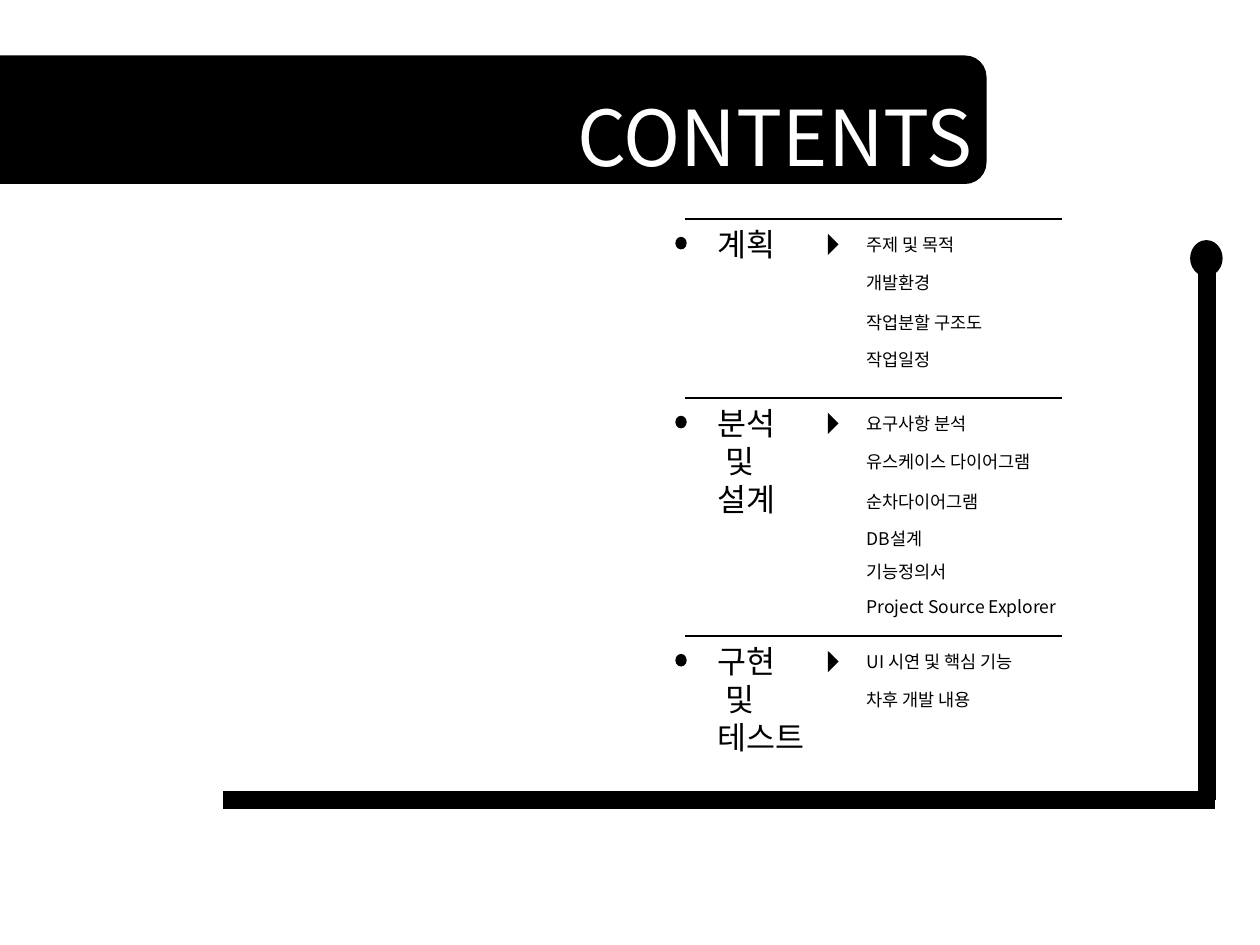
from pptx import Presentation
from pptx.dml.color import RGBColor
from pptx.enum.shapes import MSO_CONNECTOR, MSO_SHAPE
from pptx.enum.text import MSO_ANCHOR, MSO_AUTO_SIZE, PP_ALIGN
from pptx.oxml.ns import qn
from pptx.util import Inches, Pt
from lxml.etree import SubElement

BLACK = RGBColor(0, 0, 0)
WHITE = RGBColor(255, 255, 255)
FACE = "Noto Sans CJK KR"
HEAD = {"size": Pt(18), "name": FACE}
ITEM = {"size": Pt(10), "name": FACE}
TITLE = {"size": Pt(44), "name": FACE}

# Each section: top, heading width, heading lines, items
PARTS = [
    (1.74, 0.87, ["계획"],
     ["주제 및 목적", "개발환경", "작업분할 구조도", "작업일정"]),
    (3.16, 0.87, ["분석", " 및", "설계"],
     ["요구사항 분석", "유스케이스 다이어그램", "순차다이어그램",
      "DB설계", "기능정의서", "Project Source Explorer"]),
    (5.05, 1.13, ["구현", " 및", "테스트"],
     ["UI 시연 및 핵심 기능", "차후 개발 내용"]),
]
STEPS = [0.07, 0.37, 0.69, 0.98, 1.24, 1.52]
WIDE = {"유스케이스 다이어그램": 1.76, "Project Source Explorer": 1.84,
        "UI 시연 및 핵심 기능": 1.65}


def write(para, text, style, color):
    run = para.add_run()
    run.text = text
    for key, value in style.items():
        setattr(run.font, key, value)
    run.font.color.rgb = color
    # Korean letters take the East Asian face
    SubElement(run.font._element, qn("a:ea"), typeface=FACE)


def add_text(slide, box, lines, style):
    frame = slide.shapes.add_textbox(*map(Inches, box)).text_frame
    frame.word_wrap = True
    frame.auto_size = MSO_AUTO_SIZE.SHAPE_TO_FIT_TEXT
    for i, line in enumerate(lines):
        para = frame.add_paragraph() if i else frame.paragraphs[0]
        write(para, line, style, BLACK)


def add_solid(slide, kind, box, turn=0, edge=0):
    shape = slide.shapes.add_shape(kind, *map(Inches, box))
    shape.shadow.inherit = False
    shape.rotation = turn
    shape.fill.solid()
    shape.fill.fore_color.rgb = BLACK
    if edge:
        shape.line.color.rgb = BLACK
        shape.line.width = Pt(edge)
    else:
        shape.line.fill.background()


def add_line(slide, ends, width):
    line = slide.shapes.add_connector(MSO_CONNECTOR.STRAIGHT,
                                      *map(Inches, ends))
    line.line.color.rgb = BLACK
    line.line.width = Pt(width)
    SubElement(line._element.spPr, qn("a:effectLst"))


def add_frame(slide):
    add_line(slide, (9.58, 2.1, 9.58, 6.35), 10)
    add_line(slide, (1.77, 6.35, 9.64, 6.35), 10)
    add_solid(slide, MSO_SHAPE.ROUNDED_RECTANGLE, (-0.2, 0.44, 8.03, 1.02))
    add_solid(slide, MSO_SHAPE.OVAL, (9.46, 1.92, 0.23, 0.26), edge=2)


def set_title(slide, text):
    title = slide.shapes.title
    box = {"left": 2.64, "top": 0.45, "width": 7.02, "height": 1.25}
    for key, value in box.items():
        setattr(title, key, Inches(value))
    frame = title.text_frame
    frame.vertical_anchor = MSO_ANCHOR.MIDDLE
    para = frame.paragraphs[0]
    para.alignment = PP_ALIGN.CENTER
    write(para, text, TITLE, WHITE)
    # Bring the title in front of the bar
    slide.shapes._spTree.append(title._element)


def add_part(slide, top, width, lines, items):
    add_line(slide, (5.44, top, 8.43, top), 1)
    add_solid(slide, MSO_SHAPE.OVAL, (5.36, top + 0.14, 0.09, 0.1))
    height = 0.1 + 0.3 * len(lines)
    add_text(slide, (5.6, top, width, height), lines, HEAD)
    add_solid(slide, MSO_SHAPE.RIGHT_TRIANGLE,
              (6.51, top + 0.14, 0.12, 0.12), turn=225)
    for step, item in zip(STEPS, items):
        box = (6.78, top + step, WIDE.get(item, 1.5), 0.27)
        add_text(slide, box, [item], ITEM)


def main():
    deck = Presentation()
    deck.slide_width, deck.slide_height = Inches(10), Inches(7.5)
    slide = deck.slides.add_slide(deck.slide_layouts[5])
    add_frame(slide)
    set_title(slide, "CONTENTS")
    for part in PARTS:
        add_part(slide, *part)
    deck.save("out.pptx")


if __name__ == "__main__":
    main()
